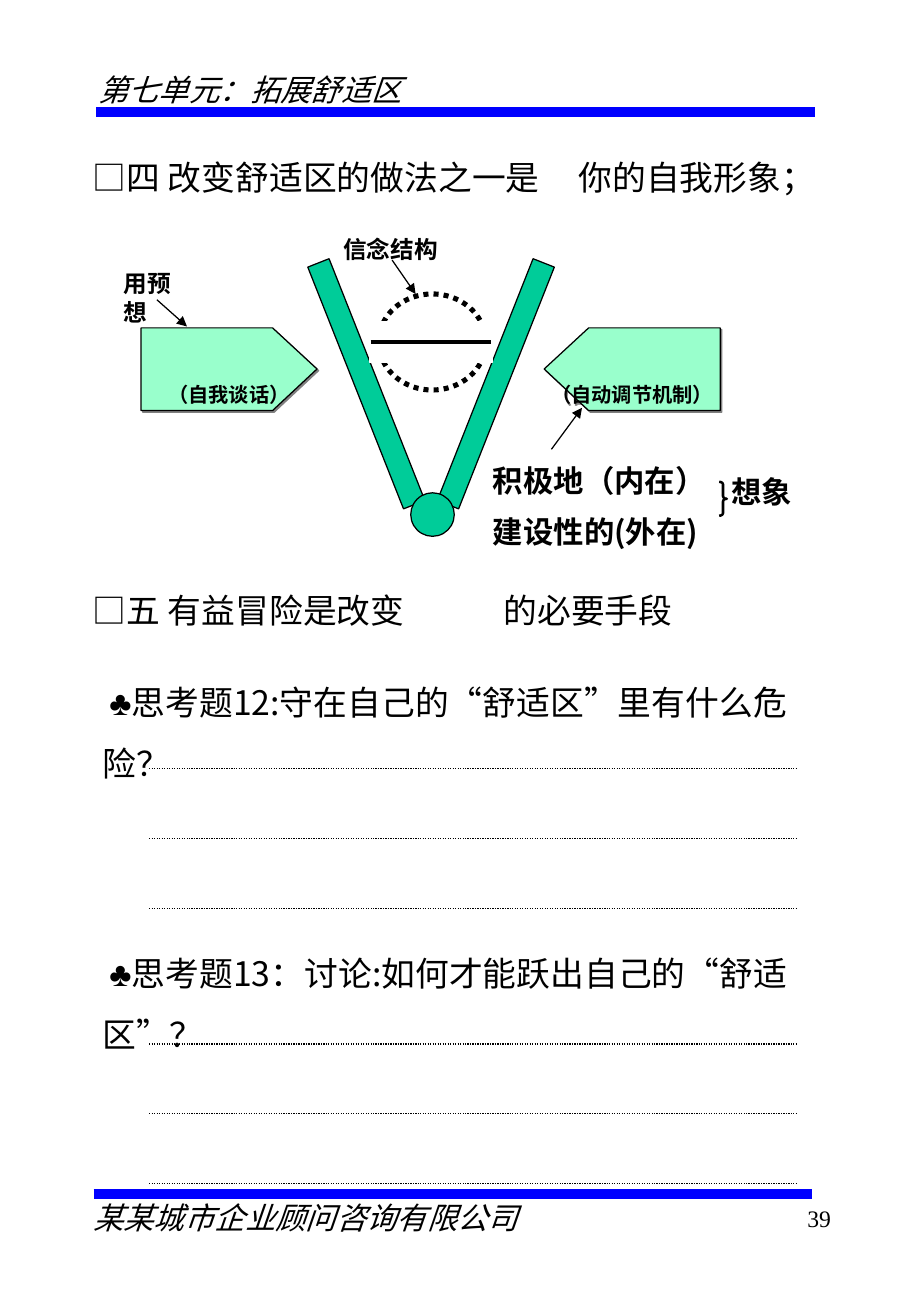
from lxml import etree
from pptx import Presentation
from pptx.dml.color import RGBColor
from pptx.enum.dml import MSO_LINE
from pptx.enum.shapes import MSO_CONNECTOR, MSO_SHAPE
from pptx.enum.text import MSO_ANCHOR as Anchor, MSO_AUTO_SIZE as AutoSize, PP_ALIGN as Align
from pptx.oxml.ns import qn
from pptx.util import Cm, Pt

COLOURS = {
    "rule": "0000FF",
    "ink": "000000",
    "paper": "FFFFFF",
    "arrow": "99FFCC",
    "bar": "00CC99",
    "shade": "808080",
}
SERIF, SANS, SANS_JP, SYMBOL = "Times New Roman", "Noto Sans CJK SC", "Noto Sans CJK JP", "Arial"


def colour(name):
    return RGBColor.from_string(COLOURS[name])


def add_span(para, text, size, face=SERIF, bold=False, italic=False, underline=False):
    span = para.add_run()
    span.text = text
    font = span.font
    font.size, font.bold, font.italic = Pt(size), bold, italic
    font.underline = underline
    font.color.rgb = colour("ink")
    font.name = face
    east_asian = SANS if face == SERIF else face
    etree.SubElement(span._r.get_or_add_rPr(), qn("a:ea"), typeface=east_asian)


def add_box(page, left, top, width, height, wrap=False):
    """Add an empty text box and return its text frame."""
    box = page.shapes.add_textbox(Cm(left), Cm(top), Cm(width), Cm(height))
    box.text_frame.word_wrap = wrap
    return box.text_frame


def add_label(page, left, top, width, height, text, size, **style):
    para = add_box(page, left, top, width, height).paragraphs[0]
    add_span(para, text, size, **style)
    return para


def add_blank_sentence(page, top, height, number, before, after, tab):
    """Add a sentence whose blank is an underlined tab ending at the given stop."""
    para = add_box(page, 1.69, top, 15.44, height, wrap=True).paragraphs[0]
    para.line_spacing = 1.7
    stops = etree.SubElement(para._p.get_or_add_pPr(), qn("a:tabLst"))
    etree.SubElement(stops, qn("a:tab"), pos=str(Cm(tab)), algn="l")
    add_span(para, number, 20, SANS)
    add_span(para, before, 20, SANS_JP)
    add_span(para, "\t", 20, SANS_JP, underline=True)
    add_span(para, after, 20, SANS_JP)


def add_question(page, top, width, text):
    """Add a question with three dotted answer lines."""
    para = add_box(page, 1.89, top, width, 2.79, wrap=True).paragraphs[0]
    para.line_spacing = 1.5
    para._p.get_or_add_pPr().set("indent", str(Cm(0.15)))
    add_span(para, "♣", 20, SYMBOL)
    add_span(para, text, 20, SANS)


def add_line(page, start, end, weight=0.75, ink="ink", dash=None, arrow=False):
    ends = [Cm(value) for value in (*start, *end)]
    line = page.shapes.add_connector(MSO_CONNECTOR.STRAIGHT, *ends)
    line.line.color.rgb = colour(ink)
    line.line.width = Pt(weight)
    if dash:
        line.line.dash_style = dash
    if arrow:
        etree.SubElement(line.line._get_or_add_ln(), qn("a:tailEnd"), type="triangle")
    etree.SubElement(line._element.spPr, qn("a:effectLst"))


def paint(shape, fill, ink="ink", weight=0.75):
    shape.shadow.inherit = False
    if fill:
        shape.fill.solid()
        shape.fill.fore_color.rgb = colour(fill)
    else:
        shape.fill.background()
    shape.line.color.rgb = colour(ink)
    shape.line.width = Pt(weight)


def add_figure(page, kind, left, top, width, height, fill, ink="ink", weight=0.75):
    shape = page.shapes.add_shape(kind, Cm(left), Cm(top), Cm(width), Cm(height))
    paint(shape, fill, ink, weight)
    return shape


def add_pentagon(page, base, direction, text):
    """Add a shadowed pentagon pointing right (1) or left (-1) from its base."""
    shoulder, tip = base + 2.75 * direction, base + 3.68 * direction
    top, middle, bottom = 6.86, 7.72, 8.59
    outline = [(base, top), (shoulder, top), (tip, middle), (shoulder, bottom), (base, bottom)]
    points = [(Cm(x), Cm(y)) for x, y in outline]
    builder = page.shapes.build_freeform(*points[0], scale=1.0)
    builder.add_line_segments(points[1:], close=True)
    shape = builder.convert_to_shape()
    paint(shape, "arrow")
    effects = shape._element.spPr.find(qn("a:effectLst"))
    shadow = etree.SubElement(effects, qn("a:outerShdw"), dist=str(Pt(1.4)), dir="2700000",
                              algn="ctr", rotWithShape="0")
    etree.SubElement(shadow, qn("a:srgbClr"), val=COLOURS["shade"])
    frame = shape.text_frame
    frame.word_wrap = False
    frame.vertical_anchor = Anchor.BOTTOM
    frame.margin_bottom = Cm(0.08)
    para = frame.paragraphs[0]
    para.alignment = Align.CENTER
    add_span(para, text, 12, bold=True)


def add_heading(page):
    title = page.shapes.title
    title.left, title.top, title.width, title.height = Cm(1.8), Cm(0.63), Cm(14), Cm(1.75)
    frame = title.text_frame
    frame.auto_size = AutoSize.NONE
    frame.vertical_anchor = Anchor.BOTTOM
    para = frame.paragraphs[0]
    para.alignment = Align.LEFT
    add_span(para, "第七单元：拓展舒适区", 18, italic=True)
    add_line(page, (2.01, 2.34), (17.04, 2.34), 6, "rule")


def add_footer(page):
    add_line(page, (1.96, 24.97), (16.99, 24.97), 6, "rule")
    add_label(page, 1.7, 24.97, 9.4, 1.02, "某某城市企业顾问咨询有限公司", 18, italic=True)
    number = add_label(page, 13.67, 25.07, 3.96, 1.83, "39", 14)
    number.alignment = Align.RIGHT


def add_belief_diagram(page):
    add_pentagon(page, 2.95, 1, "（自我谈话）")
    add_pentagon(page, 15.06, -1, "（自动调节机制）")
    for left, angle in ((7.42, -21.6), (10.13, 21.6)):
        add_figure(page, MSO_SHAPE.RECTANGLE, left, 5.31, 0.48, 5.44, "bar").rotation = angle
    add_figure(page, MSO_SHAPE.OVAL, 8.59, 10.31, 0.91, 0.91, "bar")
    ring = add_figure(page, MSO_SHAPE.OVAL, 7.92, 6.15, 2.24, 2.01, "paper", weight=3)
    ring.line.dash_style = MSO_LINE.ROUND_DOT
    add_figure(page, MSO_SHAPE.RECTANGLE, 7.72, 6.73, 2.57, 0.84, "paper", "paper", 0.25)
    add_line(page, (7.75, 7.16), (10.26, 7.16), 2.25)

    for start, end in (((8.2, 5.44), (8.69, 6.15)),
                       ((3.28, 6.27), (3.91, 6.83)),
                       ((11.53, 9.4), (12.17, 8.53))):
        add_line(page, start, end, arrow=True)
    add_label(page, 6.93, 4.78, 2.49, 0.86, "信念结构", 14, bold=True)
    add_label(page, 2.34, 5.51, 1.98, 0.86, "用预想", 14, bold=True)

    frame = add_box(page, 10.06, 9.25, 5.41, 2.39)
    for para, text in ((frame.paragraphs[0], "积极地（内在）"),
                       (frame.add_paragraph(), "建设性的(外在)")):
        para.line_spacing = 1.4
        add_span(para, text, 18, SANS, bold=True)
    brace = add_figure(page, MSO_SHAPE.RIGHT_BRACE, 15.04, 10.08, 0.16, 0.71, None, weight=1.5)
    brace.adjustments[0] = 0.33
    add_label(page, 15.04, 9.78, 1.78, 1.02, "想象", 18, face=SANS, bold=True)


def main():
    deck = Presentation()
    deck.slide_width, deck.slide_height = Cm(19.05), Cm(27.53)
    page = deck.slides.add_slide(deck.slide_layouts[5])

    add_heading(page)
    add_blank_sentence(page, 2.57, 3.15, "□四 ", "改变舒适区的做法之一是", "你的自我形象；", 10.16)
    add_belief_diagram(page)
    add_blank_sentence(page, 11.63, 1.7, "□五 ", "有益冒险是改变", "的必要手段", 8.59)
    add_question(page, 13.72, 15.24, "思考题12:守在自己的“舒适区”里有什么危险？")
    add_question(page, 19.38, 15.9, "思考题13：讨论:如何才能跃出自己的“舒适区”？")
    for first in (16.08, 21.84):
        for row in range(3):
            y = first + 1.46 * row
            add_line(page, (3.12, y), (16.66, y), dash=MSO_LINE.ROUND_DOT)
    add_footer(page)

    deck.save("out.pptx")


if __name__ == "__main__":
    main()
